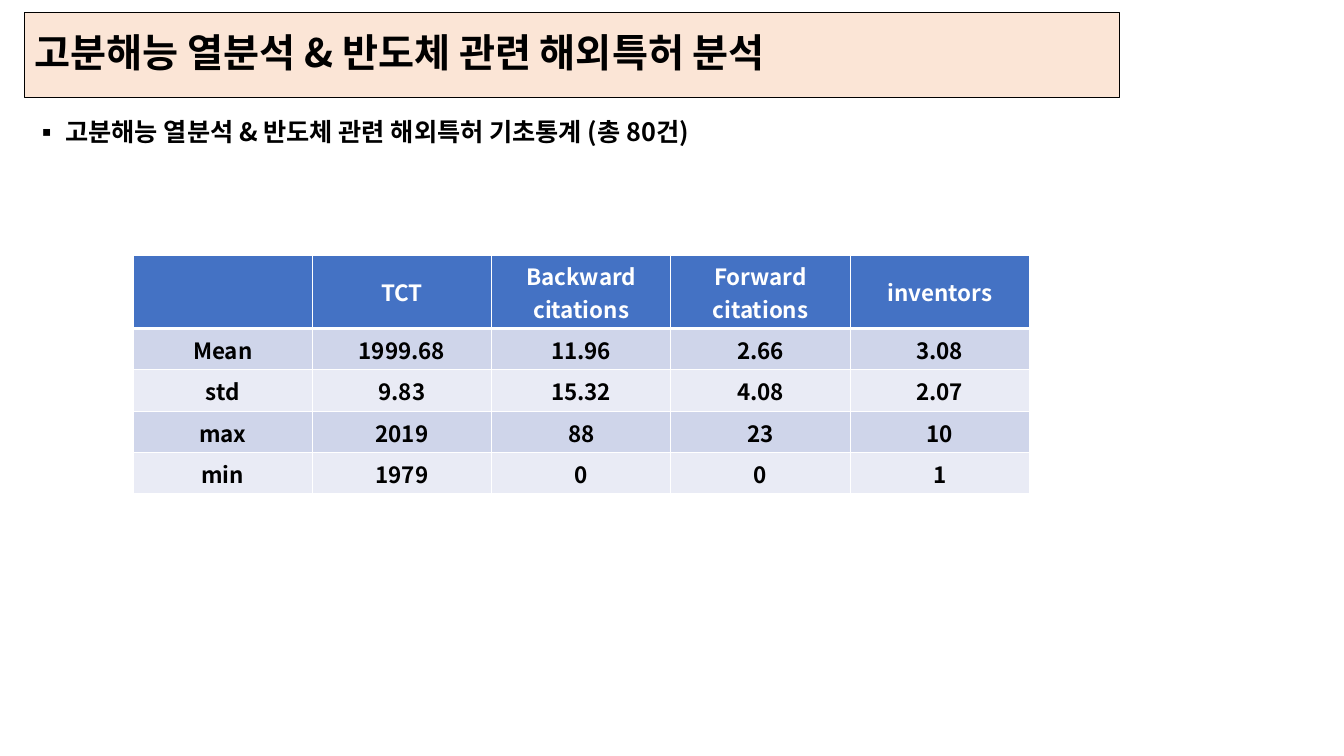
from lxml import etree
from pptx import Presentation
from pptx.dml.color import RGBColor
from pptx.enum.text import MSO_ANCHOR, MSO_AUTO_SIZE, PP_ALIGN
from pptx.oxml.ns import qn
from pptx.util import Pt

PX = 9144
FONT = "Noto Sans CJK KR"
BLACK = RGBColor(0x00, 0x00, 0x00)
WHITE = RGBColor(0xFF, 0xFF, 0xFF)
PEACH = RGBColor(0xFB, 0xE5, 0xD6)
HEADER_BLUE = RGBColor(0x44, 0x72, 0xC4)
BANDS = [RGBColor(0xE9, 0xEB, 0xF5), RGBColor(0xCF, 0xD5, 0xEA)]
MIDDLE = MSO_ANCHOR.MIDDLE
LEFT, CENTER = PP_ALIGN.LEFT, PP_ALIGN.CENTER
NO_FIT, GROW = MSO_AUTO_SIZE.NONE, MSO_AUTO_SIZE.SHAPE_TO_FIT_TEXT


def style_text(paragraph, size, color, alignment):
    paragraph.alignment = alignment
    for run in paragraph.runs:
        for name, value in {"name": FONT, "size": Pt(size), "bold": True}.items():
            setattr(run.font, name, value)
        run.font.color.rgb = color
        etree.SubElement(run.font._element, qn("a:ea"), typeface=FONT)


def add_border(cell, side, width):
    line = etree.SubElement(cell._tc.get_or_add_tcPr(), qn("a:ln" + side), w=str(Pt(width)))
    fill = etree.SubElement(line, qn("a:solidFill"))
    etree.SubElement(fill, qn("a:srgbClr"), val=str(WHITE))


presentation = Presentation()
presentation.slide_width = 1333 * PX
presentation.slide_height = 750 * PX
slide = presentation.slides.add_slide(presentation.slide_layouts[5])

title = slide.shapes.title
for name, value in {"left": 24, "top": 12, "width": 1086, "height": 85}.items():
    setattr(title, name, value * PX)
title.fill.solid()
title.fill.fore_color.rgb = PEACH
title.line.color.rgb = BLACK
title.line.width = Pt(0.75)
title.text_frame.text = "고분해능 열분석 & 반도체 관련 해외특허 분석"
for name, value in {"vertical_anchor": MIDDLE, "word_wrap": True, "auto_size": NO_FIT}.items():
    setattr(title.text_frame, name, value)
heading = title.text_frame.paragraphs[0]
heading.line_spacing = 0.9
style_text(heading, 28, BLACK, LEFT)

subtitle = slide.shapes.add_textbox(24 * PX, 111 * PX, 810 * PX, 40 * PX).text_frame
subtitle.word_wrap = True
subtitle.auto_size = GROW
summary = subtitle.paragraphs[0]
summary.text = "고분해능 열분석 & 반도체 관련 해외특허 기초통계 (총 80건)"
bullet_format = summary._p.get_or_add_pPr()
bullet_format.set("marL", str(31 * PX))
bullet_format.set("indent", str(-31 * PX))
etree.SubElement(bullet_format, qn("a:buFont"), typeface=FONT)
etree.SubElement(bullet_format, qn("a:buChar"), char="▪")
style_text(summary, 18, BLACK, LEFT)

statistics = [
    ["", "TCT", "Backward citations", "Forward\ncitations", "inventors"],
    ["Mean", "1999.68", "11.96", "2.66", "3.08"],
    ["std", "9.83", "15.32", "4.08", "2.07"],
    ["max", "2019", "88", "23", "10"],
    ["min", "1979", "0", "0", "1"],
]
table = slide.shapes.add_table(5, 5, 132 * PX, 253 * PX, 889 * PX, 205 * PX).table
table.rows[0].height = 73 * PX
for row_index, values in enumerate(statistics):
    is_header = row_index == 0
    for column_index, value in enumerate(values):
        cell = table.cell(row_index, column_index)
        cell.text = value
        cell.vertical_anchor = MIDDLE
        if not is_header:
            for name, margin in {"left": 1, "right": 1, "top": 1, "bottom": 0}.items():
                setattr(cell, "margin_" + name, margin * PX)
        top_width = 3 if row_index == 1 else 1
        bottom_width = 3 if is_header else 1
        for side, width in {"L": 1, "R": 1, "T": top_width, "B": bottom_width}.items():
            add_border(cell, side, width)
        cell.fill.solid()
        cell.fill.fore_color.rgb = HEADER_BLUE if is_header else BANDS[row_index % 2]
        for paragraph in cell.text_frame.paragraphs:
            style_text(paragraph, 16, WHITE if is_header else BLACK, CENTER)

presentation.save("out.pptx")
